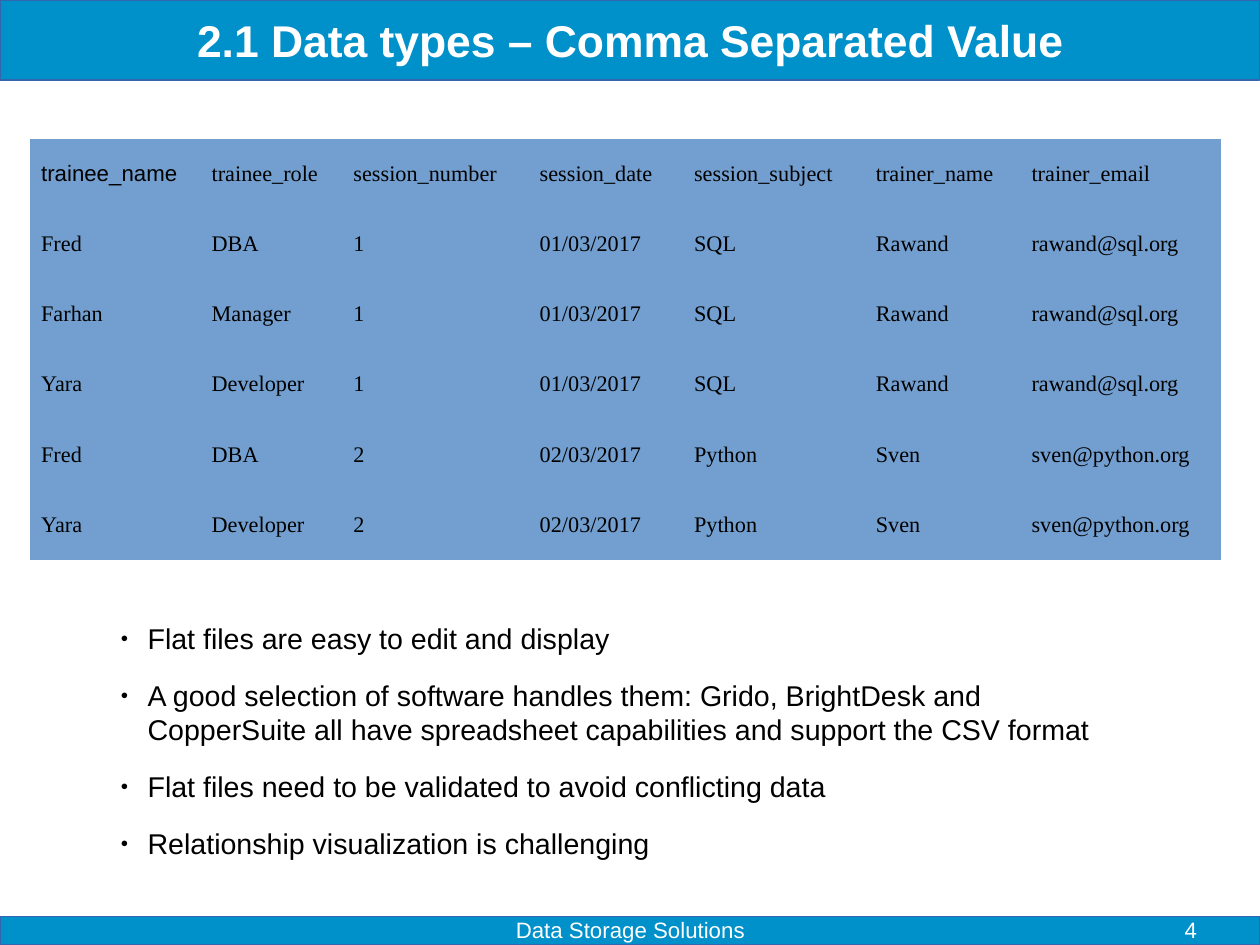
import dataclasses

import lxml.etree
import pptx
import pptx.dml.color
import pptx.enum.shapes
import pptx.enum.text
import pptx.oxml.ns
import pptx.util

Cm, Pt = pptx.util.Cm, pptx.util.Pt
RGB = pptx.dml.color.RGBColor.from_string
ALIGN = pptx.enum.text.PP_ALIGN
ANCHOR = pptx.enum.text.MSO_ANCHOR
qn = pptx.oxml.ns.qn


@dataclasses.dataclass(frozen=True)
class Theme:
    band: str = "0090CA"
    band_edge: str = "3465AF"
    cell: str = "729FCF"
    ink: str = "000000"
    light: str = "FFFFFF"
    sans: str = "Arial"
    serif: str = "Times New Roman"
    title_size: int = 28
    list_size: int = 18
    small_size: int = 14


NO_GRID_STYLE = "{2D5ABB26-0587-4C30-8999-92F81FD0307C}"
WIDTH, HEIGHT = 28, 21
TITLE_HEIGHT = 1.78
FOOTER_TOP, FOOTER_HEIGHT = 20.36, 0.64

COLUMN_WIDTHS = [3.79, 3.15, 4.14, 3.43, 4.04, 3.46, 4.47]
ROW_HEIGHT = 1.56
HEADINGS = ["trainee_name", "trainee_role", "session_number", "session_date",
            "session_subject", "trainer_name", "trainer_email"]
SQL_SESSION = ["1", "01/03/2017", "SQL", "Rawand", "rawand@sql.org"]
PYTHON_SESSION = ["2", "02/03/2017", "Python", "Sven", "sven@python.org"]
SESSIONS = [
    ["Fred", "DBA", *SQL_SESSION],
    ["Farhan", "Manager", *SQL_SESSION],
    ["Yara", "Developer", *SQL_SESSION],
    ["Fred", "DBA", *PYTHON_SESSION],
    ["Yara", "Developer", *PYTHON_SESSION],
]
REMARKS = [
    "Flat files are easy to edit and display",
    "A good selection of software handles them: Grido, BrightDesk and "
    "CopperSuite all have spreadsheet capabilities and support the CSV format",
    "Flat files need to be validated to avoid conflicting data",
    "Relationship visualization is challenging",
]


def write(paragraph, text, *, size, font, color, bold=False, align=ALIGN.LEFT):
    paragraph.alignment = align
    run = paragraph.add_run()
    run.text = text
    run.font.size = Pt(size)
    run.font.name = font
    run.font.bold = bold
    run.font.color.rgb = RGB(color)


def add_bullet(paragraph, color, font, indent=0.6):
    properties = paragraph._p.get_or_add_pPr()
    properties.set("marL", str(Cm(indent)))
    properties.set("indent", str(-Cm(indent)))
    bullet_color = lxml.etree.SubElement(properties, qn("a:buClr"))
    lxml.etree.SubElement(bullet_color, qn("a:srgbClr"), val=color)
    lxml.etree.SubElement(properties, qn("a:buSzPct"), val="45000")
    lxml.etree.SubElement(properties, qn("a:buFont"), typeface=font)
    lxml.etree.SubElement(properties, qn("a:buChar"), char="●")


def place(shape, left, top, width, height):
    shape.left, shape.top = Cm(left), Cm(top)
    shape.width, shape.height = Cm(width), Cm(height)


def prepare_frame(frame, anchor=ANCHOR.TOP, insets=(0, 0)):
    frame.word_wrap = True
    frame.auto_size = pptx.enum.text.MSO_AUTO_SIZE.NONE
    frame.vertical_anchor = anchor
    frame.margin_left = frame.margin_right = Cm(insets[0])
    frame.margin_top = frame.margin_bottom = Cm(insets[1])


class SlideBuilder:
    def __init__(self, slide, theme):
        self.slide = slide
        self.theme = theme

    def band(self, top, height):
        """Add a full-width band behind the placeholders."""
        band = self.slide.shapes.add_shape(
            pptx.enum.shapes.MSO_SHAPE.RECTANGLE, 0, Cm(top), Cm(WIDTH), Cm(height))
        band.shadow.inherit = False
        band.fill.solid()
        band.fill.fore_color.rgb = RGB(self.theme.band)
        band.line.color.rgb = RGB(self.theme.band_edge)
        band.line.width = 0
        self.slide.shapes._spTree.insert(2, band._element)

    def title(self, text):
        title = self.slide.shapes.title
        place(title, 0, 0, WIDTH, TITLE_HEIGHT)
        prepare_frame(title.text_frame, anchor=ANCHOR.MIDDLE)
        write(title.text_frame.paragraphs[0], text, size=self.theme.title_size,
              font=self.theme.sans, color=self.theme.light, bold=True,
              align=ALIGN.CENTER)

    def table(self, left, top, widths, row_height, rows):
        theme = self.theme
        table = self.slide.shapes.add_table(
            len(rows), len(widths), Cm(left), Cm(top),
            Cm(sum(widths)), Cm(row_height * len(rows))).table
        table.first_row = table.horz_banding = False
        table._tbl.tblPr.find(qn("a:tableStyleId")).text = NO_GRID_STYLE
        for column, width in zip(table.columns, widths):
            column.width = Cm(width)
        for r, values in enumerate(rows):
            table.rows[r].height = Cm(row_height)
            for c, value in enumerate(values):
                cell = table.cell(r, c)
                cell.fill.solid()
                cell.fill.fore_color.rgb = RGB(theme.cell)
                cell.vertical_anchor = ANCHOR.MIDDLE
                write(cell.text_frame.paragraphs[0], value, size=theme.small_size,
                      font=theme.sans if r == c == 0 else theme.serif,
                      color=theme.ink)

    def bullets(self, left, top, width, height, items):
        theme = self.theme
        body = self.slide.placeholders[1]
        place(body, left, top, width, height)
        frame = body.text_frame
        prepare_frame(frame, insets=(0.25, 0.13))
        for i, item in enumerate(items):
            paragraph = frame.add_paragraph() if i else frame.paragraphs[0]
            paragraph.space_before = Pt(14.2)
            paragraph.space_after = Pt(0)
            add_bullet(paragraph, theme.ink, theme.sans)
            write(paragraph, item, size=theme.list_size, font=theme.sans,
                  color=theme.ink)

    def footer(self, left, width, text, align):
        box = self.slide.shapes.add_textbox(
            Cm(left), Cm(FOOTER_TOP), Cm(width), Cm(FOOTER_HEIGHT))
        prepare_frame(box.text_frame)
        write(box.text_frame.paragraphs[0], text, size=self.theme.small_size,
              font=self.theme.sans, color=self.theme.light, align=align)


def main():
    deck = pptx.Presentation()
    deck.slide_width, deck.slide_height = Cm(WIDTH), Cm(HEIGHT)
    builder = SlideBuilder(deck.slides.add_slide(deck.slide_layouts[1]), Theme())
    builder.band(FOOTER_TOP, FOOTER_HEIGHT)
    builder.band(0, TITLE_HEIGHT)
    builder.title("2.1 Data types – Comma Separated Value")
    builder.table(0.66, 3.08, COLUMN_WIDTHS, ROW_HEIGHT, [HEADINGS, *SESSIONS])
    builder.bullets(2.43, 13.67, 22.86, 5.31, REMARKS)
    builder.footer(9.58, 8.86, "Data Storage Solutions", ALIGN.CENTER)
    builder.footer(20.07, 6.53, "4", ALIGN.RIGHT)
    deck.save("out.pptx")


if __name__ == "__main__":
    main()
